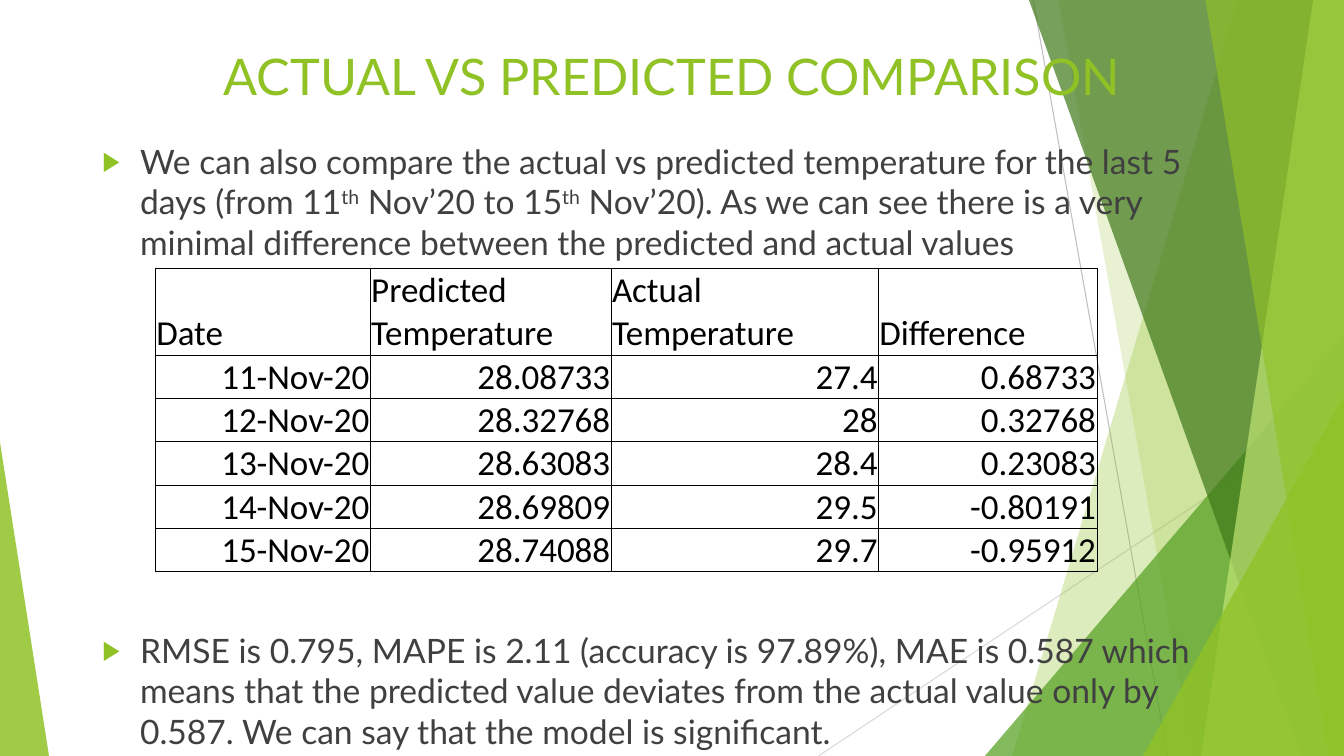
from pptx import Presentation
from pptx.dml.color import RGBColor
from pptx.enum.shapes import MSO_CONNECTOR, MSO_SHAPE
from pptx.enum.text import MSO_ANCHOR, PP_ALIGN
from pptx.oxml import parse_xml
from pptx.oxml.ns import nsdecls, qn
from pptx.util import Pt
from lxml.etree import SubElement

WIDTH, HEIGHT = 960, 540
GREEN, DARK, BLACK = "90C226", "404040", "000000"


def color(value):
    return RGBColor.from_string(value)


class SlideBuilder:
    """Draws styled elements, measured in points, on one slide."""

    def __init__(self, slide):
        self.slide = slide
        self.shapes = slide.shapes
        self.text_font, self.table_font = "Lato", "Calibri"

    def style_font(self, paragraph, name, size, fill):
        font = paragraph.font
        font.name, font.size = name, Pt(size)
        font.color.rgb = color(fill)

    def style_shape(self, shape, fill, opacity):
        shape.shadow.inherit = False
        shape.line.fill.background()
        shape.fill.solid()
        shape.fill.fore_color.rgb = color(fill)
        fill_color = shape._element.spPr.find(".//" + qn("a:srgbClr"))
        SubElement(fill_color, qn("a:alpha"), val=str(opacity * 1000))

    def line(self, start, end, stroke):
        connector = self.shapes.add_connector(
            MSO_CONNECTOR.STRAIGHT, *map(Pt, (*start, *end)))
        connector.line.color.rgb = color(stroke)
        connector.line.width = Pt(0.75)
        SubElement(connector._element.spPr, qn("a:effectLst"))

    def band(self, top_x, bottom_x, fill, opacity):
        builder = self.shapes.build_freeform(Pt(top_x), 0)
        corners = [(WIDTH, 0), (WIDTH, HEIGHT), (bottom_x, HEIGHT)]
        builder.add_line_segments([(Pt(x), Pt(y)) for x, y in corners])
        self.style_shape(builder.convert_to_shape(), fill, opacity)

    def triangle(self, left, top, width, apex, fill, opacity):
        shape = self.shapes.add_shape(
            MSO_SHAPE.ISOSCELES_TRIANGLE,
            *map(Pt, (left, top, width, HEIGHT - top)))
        shape.adjustments[0] = apex
        self.style_shape(shape, fill, opacity)

    def text_frame(self, left, top, width, height):
        frame = self.shapes.add_textbox(*map(Pt, (left, top, width, height))).text_frame
        frame.word_wrap = True
        return frame

    def title(self, text, *box):
        paragraph = self.text_frame(*box).paragraphs[0]
        paragraph.text = text
        paragraph.alignment = PP_ALIGN.CENTER
        self.style_font(paragraph, self.text_font, 36, GREEN)

    def bullets(self, items, *box):
        frame = self.text_frame(*box)
        for index, (space_before, parts) in enumerate(items):
            paragraph = frame.add_paragraph() if index else frame.paragraphs[0]
            paragraph.space_before = Pt(space_before)
            self.add_bullet(paragraph)
            self.style_font(paragraph, self.text_font, 24, DARK)
            for part in parts:
                run = paragraph.add_run()
                run.text = part
                if part == "th":
                    run._r.get_or_add_rPr().set("baseline", "30000")

    def add_bullet(self, paragraph):
        properties = paragraph._p.get_or_add_pPr()
        properties.set("marL", str(Pt(27)))
        properties.set("indent", str(-Pt(27)))
        bullet_color = SubElement(properties, qn("a:buClr"))
        SubElement(bullet_color, qn("a:srgbClr"), val=GREEN)
        SubElement(properties, qn("a:buSzPct"), val="80000")
        SubElement(properties, qn("a:buFont"), typeface="Arial")
        SubElement(properties, qn("a:buChar"), char="\u25b6")

    def table(self, rows, left, top, widths, heights):
        table = self.shapes.add_table(
            len(rows), len(widths),
            *map(Pt, (left, top, sum(widths), sum(heights)))).table
        table.first_row = table.horz_banding = False
        for column, width in zip(table.columns, widths):
            column.width = Pt(width)
        for index, (row, height, values) in enumerate(zip(table.rows, heights, rows)):
            row.height = Pt(height)
            alignment = PP_ALIGN.RIGHT if index else PP_ALIGN.LEFT
            for cell, value in zip(row.cells, values):
                self.fill_cell(cell, value, alignment)

    def fill_cell(self, cell, value, alignment):
        cell.margin_left = cell.margin_right = cell.margin_top = Pt(0.7)
        cell.margin_bottom = 0
        cell.vertical_anchor = MSO_ANCHOR.BOTTOM
        for side in "LRTB":
            cell._tc.get_or_add_tcPr().append(parse_xml(
                f'<a:ln{side} {nsdecls("a")} w="{Pt(0.5)}"><a:solidFill>'
                f'<a:srgbClr val="{BLACK}"/></a:solidFill></a:ln{side}>'))
        cell.fill.background()
        paragraph = cell.text_frame.paragraphs[0]
        paragraph.text = value
        paragraph.alignment = alignment
        self.style_font(paragraph, self.table_font, 25, BLACK)


def main():
    presentation = Presentation()
    presentation.slide_width, presentation.slide_height = Pt(WIDTH), Pt(HEIGHT)
    builder = SlideBuilder(
        presentation.slides.add_slide(presentation.slide_layouts[6]))

    builder.line((738, 0), (834, HEIGHT), "BFBFBF")
    builder.line((WIDTH, 290), (584.6, HEIGHT), "D9D9D9")
    builder.band(884, 723, GREEN, 30)
    builder.band(756, 852, GREEN, 20)
    builder.triangle(703.5, 240, 256.5, 1, "54A021", 72)
    builder.band(735, 929.5, "3F7819", 70)
    builder.band(938, 858, "C0E474", 70)
    builder.band(861, 949, GREEN, 65)
    builder.triangle(816.5, 283, 143.5, 1, GREEN, 80)
    builder.triangle(0, 316, 35, 0, GREEN, 85)

    builder.title("ACTUAL VS PREDICTED COMPARISON", 66, 29, 828, 60)
    comparison = [
        "We can also compare the actual vs predicted temperature for the last "
        "5 days (from 11", "th", " Nov\u201920 to 15", "th",
        " Nov\u201920). As we can see there is a very minimal difference "
        "between the predicted and actual values"]
    accuracy = [
        "RMSE is 0.795, MAPE is 2.11 (accuracy is 97.89%), MAE is 0.587 which "
        "means that the predicted value deviates from the actual value only by "
        "0.587. We can say that the model is significant."]
    builder.bullets([(10, comparison), (263, accuracy)], 66, 97, 828, 428)

    temperatures = [
        ("Date", "Predicted Temperature", "Actual Temperature", "Difference"),
        ("11-Nov-20", "28.08733", "27.4", "0.68733"),
        ("12-Nov-20", "28.32768", "28", "0.32768"),
        ("13-Nov-20", "28.63083", "28.4", "0.23083"),
        ("14-Nov-20", "28.69809", "29.5", "-0.80191"),
        ("15-Nov-20", "28.74088", "29.7", "-0.95912")]
    builder.table(temperatures, 111, 192, [153.5, 172, 191, 156], [61.5] + [31] * 5)
    presentation.save("out.pptx")


main()
